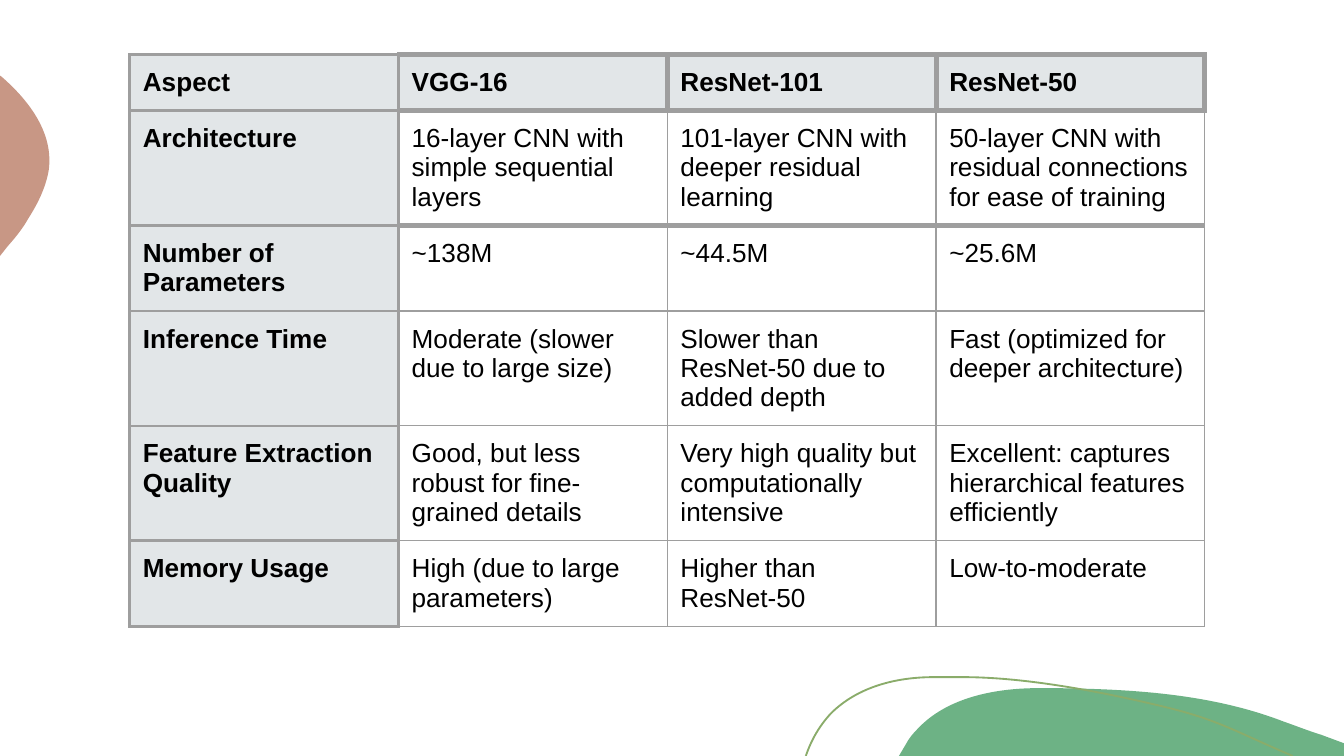
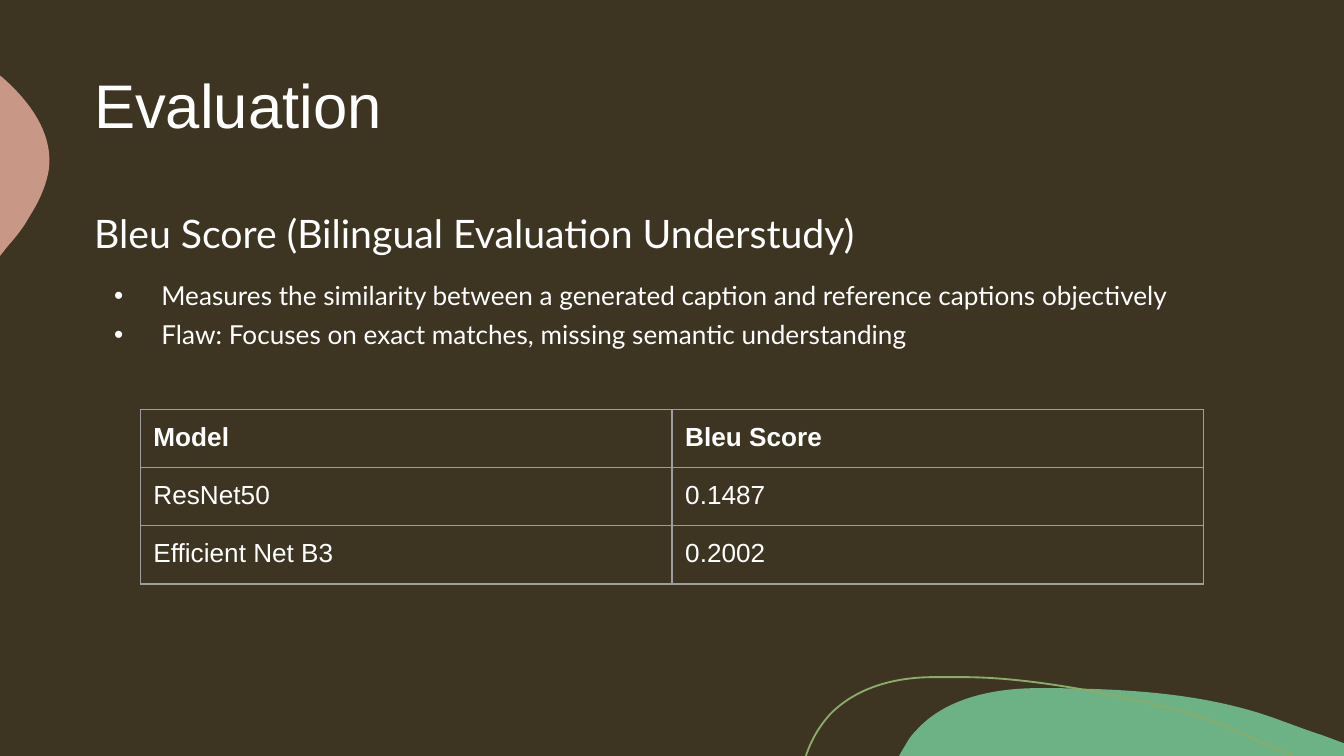
from lxml.etree import SubElement
from pptx import Presentation
from pptx.dml.color import RGBColor
from pptx.enum.text import MSO_ANCHOR as Anchor
from pptx.oxml.ns import qn
from pptx.util import Cm, Pt

WIDE, HIGH = 25.4, 14.29
WHITE, BLACK, DARK = "FFFFFF", "000000", "3D3522"
GREEN, ROSE, OLIVE = "6DB285", "C89785", "8AAC6A"
GREY, PALE = "9E9E9E", "E2E6E8"

MODELS = [
    ["Aspect", "VGG-16", "ResNet-101", "ResNet-50"],
    ["Architecture", "16-layer CNN with simple sequential layers",
     "101-layer CNN with deeper residual learning",
     "50-layer CNN with residual connections for ease of training"],
    ["Number of Parameters", "~138M", "~44.5M", "~25.6M"],
    ["Inference Time", "Moderate (slower due to large size)",
     "Slower than ResNet-50 due to added depth",
     "Fast (optimized for deeper architecture)"],
    ["Feature Extraction Quality",
     "Good, but less robust for fine-grained details",
     "Very high quality but computationally intensive",
     "Excellent: captures hierarchical features efficiently"],
    ["Memory Usage", "High (due to large parameters)",
     "Higher than ResNet-50", "Low-to-moderate"],
]
SCORES = [
    ["Model", "Bleu Score"],
    ["ResNet50", "0.1487"],
    ["Efficient Net B3", "0.2002"],
]
TITLE = "Evaluation"
LEAD = "Bleu Score (Bilingual Evaluation Understudy)"
POINTS = [
    "Measures the similarity between a generated caption and reference captions objectively",
    "Flaw: Focuses on exact matches, missing semantic understanding",
]

# Outlines in cm: one point draws a line, three points draw a curve.
HILL = [
    [(20.07, 13.01)],
    [(21.49, 13.03), (22.94, 13.13), (24.26, 13.64)],
    [(24.49, 13.72), (24.74, 13.82), (24.97, 13.89)],
    [(WIDE, 14.05)], [(WIDE, HIGH)], [(16.99, HIGH)], [(17.12, 14.07)],
    [(17.17, 13.97), (17.25, 13.87), (17.35, 13.77)],
    [(17.88, 13.21), (18.72, 13.03), (19.48, 13.01)],
    [(19.69, 13.01), (19.89, 13.01), (20.07, 13.01)],
]
PETAL = [
    [(0, 1.43)], [(0.03, 1.45)],
    [(0.58, 1.93), (1.02, 2.54), (0.92, 3.23)],
    [(0.86, 3.56), (0.71, 3.86), (0.53, 4.14)],
    [(0.46, 4.27), (0.33, 4.45), (0.15, 4.65)],
    [(0, 4.84)],
]
ARC = [
    [(15.23, HIGH)],
    [(15.34, 13.97), (15.49, 13.72), (15.7, 13.49)],
    [(16.21, 12.98), (16.94, 12.8), (17.65, 12.8)],
    [(18.19, 12.8)],
    [(19.46, 12.8), (20.96, 13.11), (22, 13.36)],
    [(23.04, 13.61), (23.37, 13.84), (24.43, HIGH)],
]


def rgb(hue):
    return RGBColor.from_string(hue)


def bend(shape, parts):
    """Turn the straight steps that have three points into cubic curves."""
    lines = list(shape.element.iter(qn("a:lnTo")))
    for line, part in zip(lines, parts[1:]):
        if len(part) == 3:
            line.tag_name = None
            curve = SubElement(line.getparent(), qn("a:cubicBezTo"))
            for x, y in part:
                SubElement(curve, qn("a:pt"), x=str(Cm(x) - shape.left),
                           y=str(Cm(y) - shape.top))
            line.getparent().replace(line, curve)


def blob(slide, parts, fill=None, line=None):
    dots = [(Cm(x), Cm(y)) for x, y in (part[-1] for part in parts)]
    pen = slide.shapes.build_freeform(*dots[0])
    pen.add_line_segments(dots[1:], close=bool(fill))
    shape = pen.convert_to_shape()
    bend(shape, parts)
    shape.shadow.inherit = False
    if fill:
        shape.fill.solid()
        shape.fill.fore_color.rgb = rgb(fill)
    else:
        shape.fill.background()
    if line:
        shape.line.color.rgb = rgb(line)
        shape.line.width = Pt(1)
    else:
        shape.line.fill.background()


def write(para, text, size=14, font="Arial", hue=WHITE, bold=False,
          space=None, before=None, bullet=False):
    para.line_spacing = space
    para.space_before = before
    run = para.add_run()
    run.text = text
    run.font.size, run.font.name, run.font.bold = Pt(size), font, bold
    run.font.color.rgb = rgb(hue)
    if bullet:
        props = para._p.get_or_add_pPr()
        props.set("marL", str(Cm(1.27)))
        props.set("indent", str(Cm(-0.89)))
        tint = SubElement(props, qn("a:buClr"))
        SubElement(tint, qn("a:srgbClr"), val=hue)
        SubElement(props, qn("a:buFont"), typeface="Arial")
        SubElement(props, qn("a:buChar"), char="•")


def box(slide, top, high, anchor):
    frame = slide.shapes.add_textbox(
        Cm(1.59), Cm(top), Cm(22.23), Cm(high)).text_frame
    frame.word_wrap = True
    frame.vertical_anchor = anchor
    frame.margin_left = frame.margin_right = Cm(0.19)
    frame.margin_top = frame.margin_bottom = Cm(0.1)
    return frame


def edge(cell, widths):
    """Draw the left, right, top and bottom borders."""
    props = cell._tc.get_or_add_tcPr()
    for side, width in zip("LRTB", widths):
        line = SubElement(props, qn(f"a:ln{side}"), w=str(Pt(width)))
        fill = SubElement(line, qn("a:solidFill"))
        SubElement(fill, qn("a:srgbClr"), val=GREY)


def thin(row, col):
    return [0.75] * 4


def heavy(row, col):
    """Thick lines around the header and under the first body row."""
    if col == 0:
        return [1.5] * 4
    side = 3 if row == 0 else 0.75
    return [1.5 if col == 1 else side, side,
            3 if row < 3 else 0.75, 3 if row < 2 else 0.75]


def grid(slide, data, left, top, wide, highs, hue, rule, tint=None):
    cols = len(data[0])
    table = slide.shapes.add_table(
        len(data), cols, Cm(left), Cm(top),
        Cm(wide * cols), Cm(sum(highs))).table
    table.first_row = table.horz_banding = False
    for col in table.columns:
        col.width = Cm(wide)
    for r, texts in enumerate(data):
        table.rows[r].height = Cm(highs[r])
        for c, text in enumerate(texts):
            cell = table.cell(r, c)
            cell.margin_left = cell.margin_right = Cm(0.25)
            cell.margin_top = cell.margin_bottom = Cm(0.25)
            edge(cell, rule(r, c))
            head = r == 0 or (tint and c == 0)
            if head and tint:
                cell.fill.solid()
                cell.fill.fore_color.rgb = rgb(tint)
            else:
                cell.fill.background()
            write(cell.text_frame.paragraphs[0], text, hue=hue, bold=bool(head))


def page(deck, back):
    slide = deck.slides.add_slide(deck.slide_layouts[6])
    slide.background.fill.solid()
    slide.background.fill.fore_color.rgb = rgb(back)
    blob(slide, HILL, fill=GREEN)
    blob(slide, PETAL, fill=ROSE)
    blob(slide, ARC, line=OLIVE)
    return slide


def main():
    deck = Presentation()
    deck.slide_width, deck.slide_height = Cm(WIDE), Cm(HIGH)

    slide = page(deck, WHITE)
    grid(slide, MODELS, 2.45, 1.03, 5.08,
         [1.06, 2.17, 1.62, 2.17, 2.17, 1.62], BLACK, heavy, PALE)

    slide = page(deck, DARK)
    title = box(slide, 0.46, 3.18, Anchor.MIDDLE)
    write(title.paragraphs[0], TITLE, size=33, space=0.9)
    body = box(slide, 3.64, 2.95, Anchor.TOP)
    write(body.paragraphs[0], LEAD, size=21, font="Lato",
          space=1.25, before=Pt(8))
    for n, text in enumerate(POINTS):
        write(body.add_paragraph(), text, font="Lato", space=1.25,
              before=Pt(0 if n else 8), bullet=True)
    grid(slide, SCORES, 2.65, 7.74, 10.05, [1.1] * len(SCORES), WHITE, thin)

    deck.save("out.pptx")


if __name__ == "__main__":
    main()
